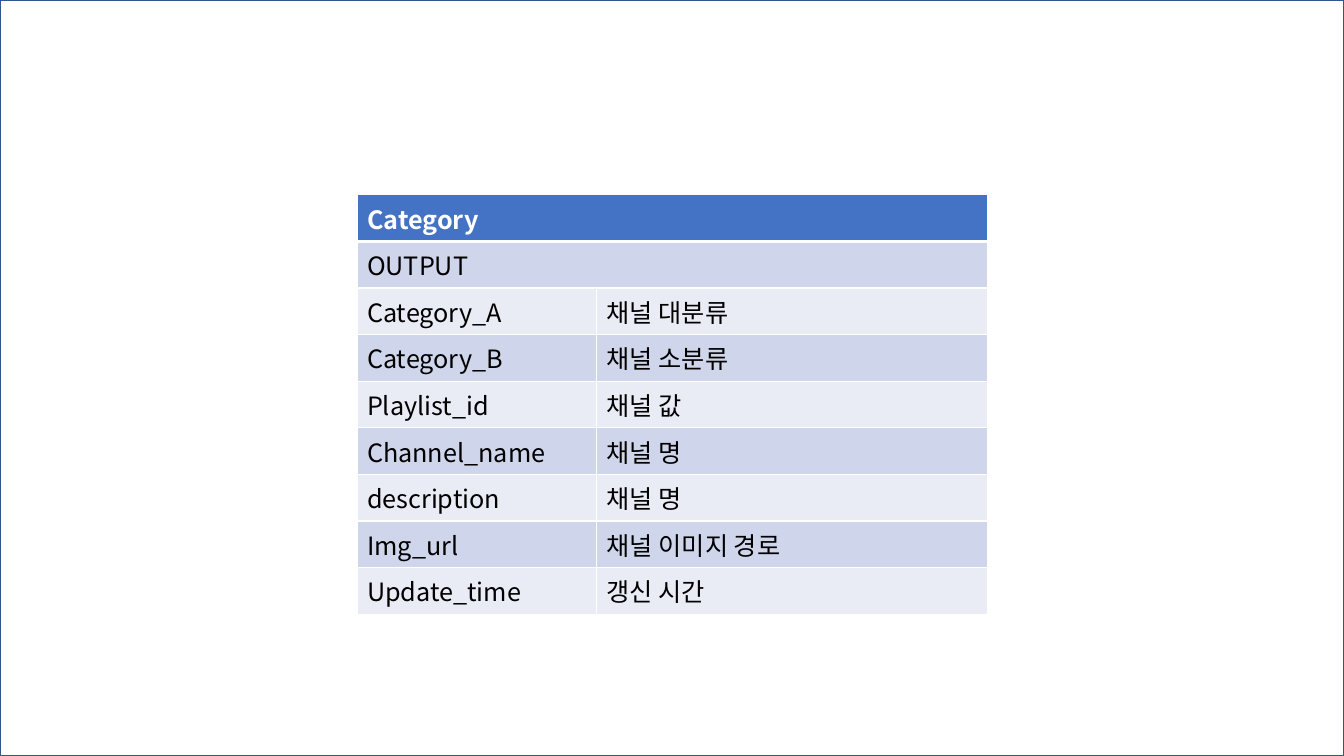
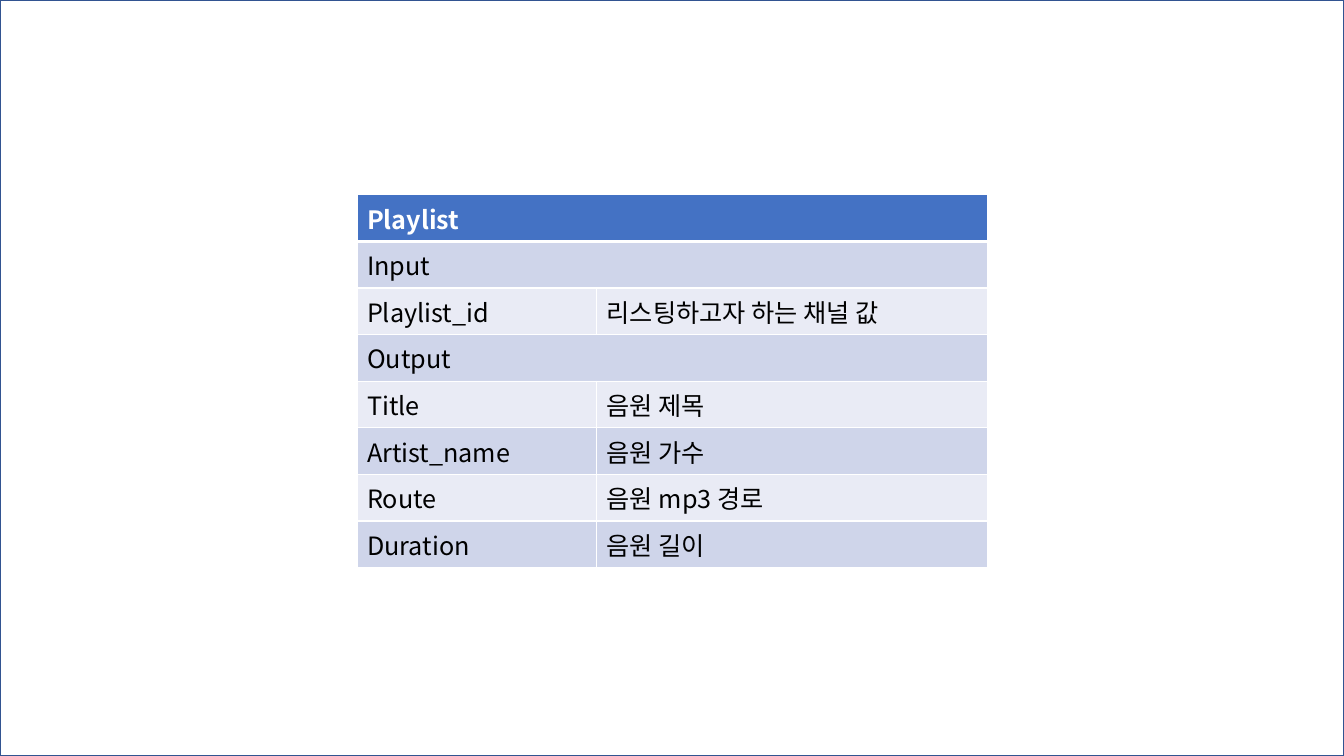
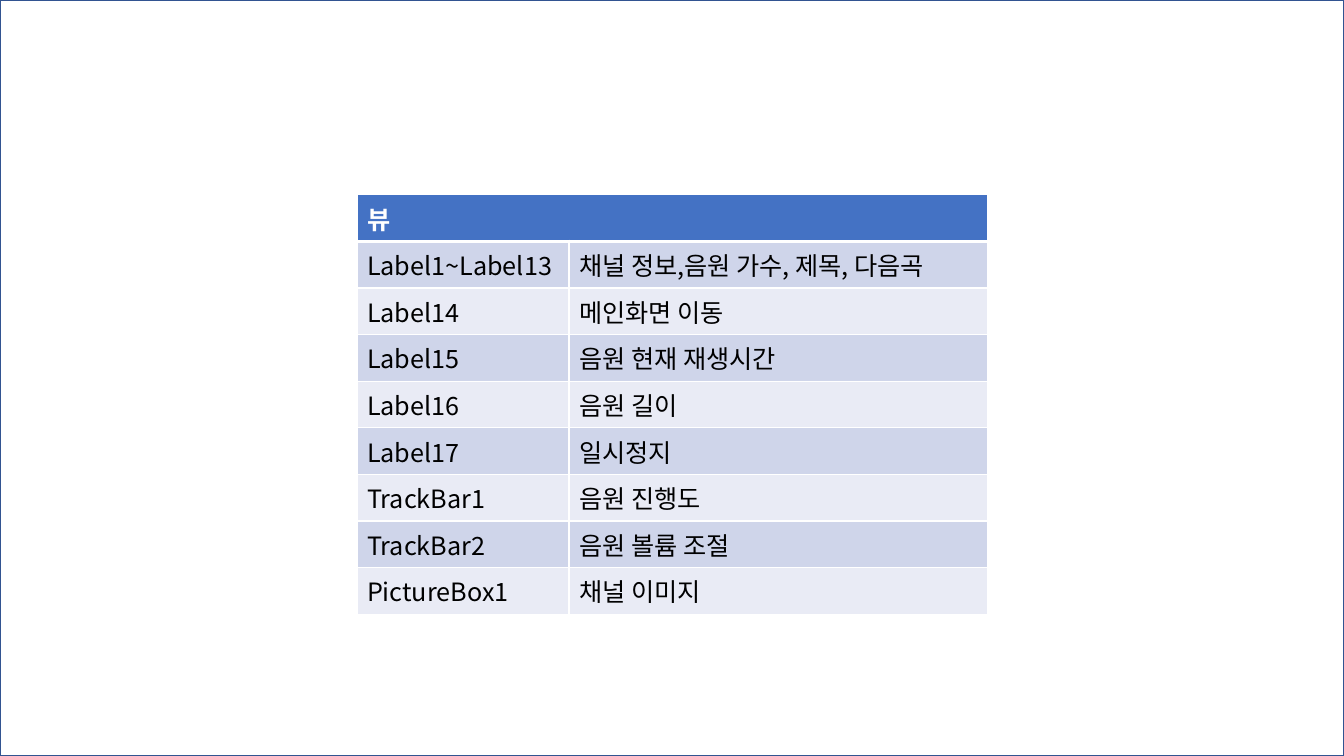
from dataclasses import dataclass

from lxml import etree
from pptx import Presentation
from pptx.dml.color import RGBColor
from pptx.enum.shapes import MSO_SHAPE
from pptx.oxml.ns import qn
from pptx.slide import Slide
from pptx.table import _Cell
from pptx.util import Pt

RECTANGLE = MSO_SHAPE.RECTANGLE
BLANK_LAYOUT = 6
SLIDE_WIDTH, SLIDE_HEIGHT = Pt(960), Pt(540)
TABLE_LEFT, TABLE_TOP, TABLE_WIDTH = Pt(255), Pt(139.2), Pt(450.6)
ROW_HEIGHT = Pt(29.2)


@dataclass(frozen=True)
class Theme:
    """Colours, type and line widths shared by all slides."""

    font: str = "Noto Sans CJK KR"
    text_size: float = 18
    paper: str = "FFFFFF"
    frame: str = "325491"
    header: str = "4472C4"
    bands: tuple[str, str] = ("CFD5EA", "E9EBF5")
    header_text: str = "FFFFFF"
    body_text: str = "000000"
    rule: str = "FFFFFF"
    thin: float = 1
    thick: float = 3


@dataclass(frozen=True)
class Entry:
    """One table row; without a meaning it spans both columns."""

    term: str
    meaning: str | None = None


@dataclass(frozen=True)
class Definition:
    """One slide's table: heading, first column width and entries."""

    heading: str
    term_width: float
    entries: tuple[Entry, ...]


THEME = Theme()

DEFINITIONS = (
    Definition("Category", 171.2, (
        Entry("OUTPUT"),
        Entry("Category_A", "채널 대분류"),
        Entry("Category_B", "채널 소분류"),
        Entry("Playlist_id", "채널 값"),
        Entry("Channel_name", "채널 명"),
        Entry("description", "채널 명"),
        Entry("Img_url", "채널 이미지 경로"),
        Entry("Update_time", "갱신 시간"),
    )),
    Definition("Playlist", 171.2, (
        Entry("Input"),
        Entry("Playlist_id", "리스팅하고자 하는 채널 값"),
        Entry("Output"),
        Entry("Title", "음원 제목"),
        Entry("Artist_name", "음원 가수"),
        Entry("Route", "음원 mp3 경로"),
        Entry("Duration", "음원 길이"),
    )),
    Definition("뷰", 151.4, (
        Entry("Label1~Label13", "채널 정보,음원 가수, 제목, 다음곡"),
        Entry("Label14", "메인화면 이동"),
        Entry("Label15", "음원 현재 재생시간"),
        Entry("Label16", "음원 길이"),
        Entry("Label17", "일시정지"),
        Entry("TrackBar1", "음원 진행도"),
        Entry("TrackBar2", "음원 볼륨 조절"),
        Entry("PictureBox1", "채널 이미지"),
    )),
)


def add_frame(slide: Slide) -> None:
    """Outline the whole slide."""
    frame = slide.shapes.add_shape(RECTANGLE, 0, 0, SLIDE_WIDTH, SLIDE_HEIGHT)
    frame.shadow.inherit = False
    frame.fill.solid()
    frame.fill.fore_color.rgb = RGBColor.from_string(THEME.paper)
    frame.line.color.rgb = RGBColor.from_string(THEME.frame)
    frame.line.width = Pt(THEME.thin)


def rule_cell(cell: _Cell, is_header: bool) -> None:
    """Draw the cell borders; only the header owns a top edge."""
    widths = {"a:lnL": THEME.thin, "a:lnR": THEME.thin}
    if is_header:
        widths["a:lnT"] = THEME.thin
    widths["a:lnB"] = THEME.thick if is_header else THEME.thin
    properties = cell._tc.get_or_add_tcPr()
    for edge, width in widths.items():
        border = etree.SubElement(properties, qn(edge), w=str(Pt(width)))
        fill = etree.SubElement(border, qn("a:solidFill"))
        etree.SubElement(fill, qn("a:srgbClr"), val=THEME.rule)


def write_cell(cell: _Cell, text: str, is_header: bool) -> None:
    """Add the cell's text in the header or body style."""
    run = cell.text_frame.paragraphs[0].add_run()
    run.text = text
    run.font.size = Pt(THEME.text_size)
    run.font.bold = is_header
    run.font.name = THEME.font
    run.font.color.rgb = RGBColor.from_string(
        THEME.header_text if is_header else THEME.body_text)
    latin = run.font._element.find(qn("a:latin"))
    east_asian = etree.Element(qn("a:ea"), typeface=THEME.font)
    latin.addnext(east_asian)


def add_definition(slide: Slide, definition: Definition) -> None:
    """Draw a heading row followed by banded entries."""
    entries = (Entry(definition.heading), *definition.entries)
    table = slide.shapes.add_table(
        len(entries), 2, TABLE_LEFT, TABLE_TOP,
        TABLE_WIDTH, ROW_HEIGHT * len(entries)).table
    term_width = Pt(definition.term_width)
    table.columns[0].width = term_width
    table.columns[1].width = TABLE_WIDTH - term_width

    for index, entry in enumerate(entries):
        is_header = index == 0
        colour = THEME.header if is_header else THEME.bands[(index - 1) % 2]
        term, meaning = table.cell(index, 0), table.cell(index, 1)
        for cell in (term, meaning):
            rule_cell(cell, is_header)
            cell.fill.solid()
            cell.fill.fore_color.rgb = RGBColor.from_string(colour)
        write_cell(term, entry.term, is_header)
        if entry.meaning is None:
            term.merge(meaning)
        else:
            write_cell(meaning, entry.meaning, is_header)


def main() -> None:
    """Build and save the deck."""
    deck = Presentation()
    deck.slide_width, deck.slide_height = SLIDE_WIDTH, SLIDE_HEIGHT
    for definition in DEFINITIONS:
        slide = deck.slides.add_slide(deck.slide_layouts[BLANK_LAYOUT])
        add_frame(slide)
        add_definition(slide, definition)
    deck.save("out.pptx")


main()
